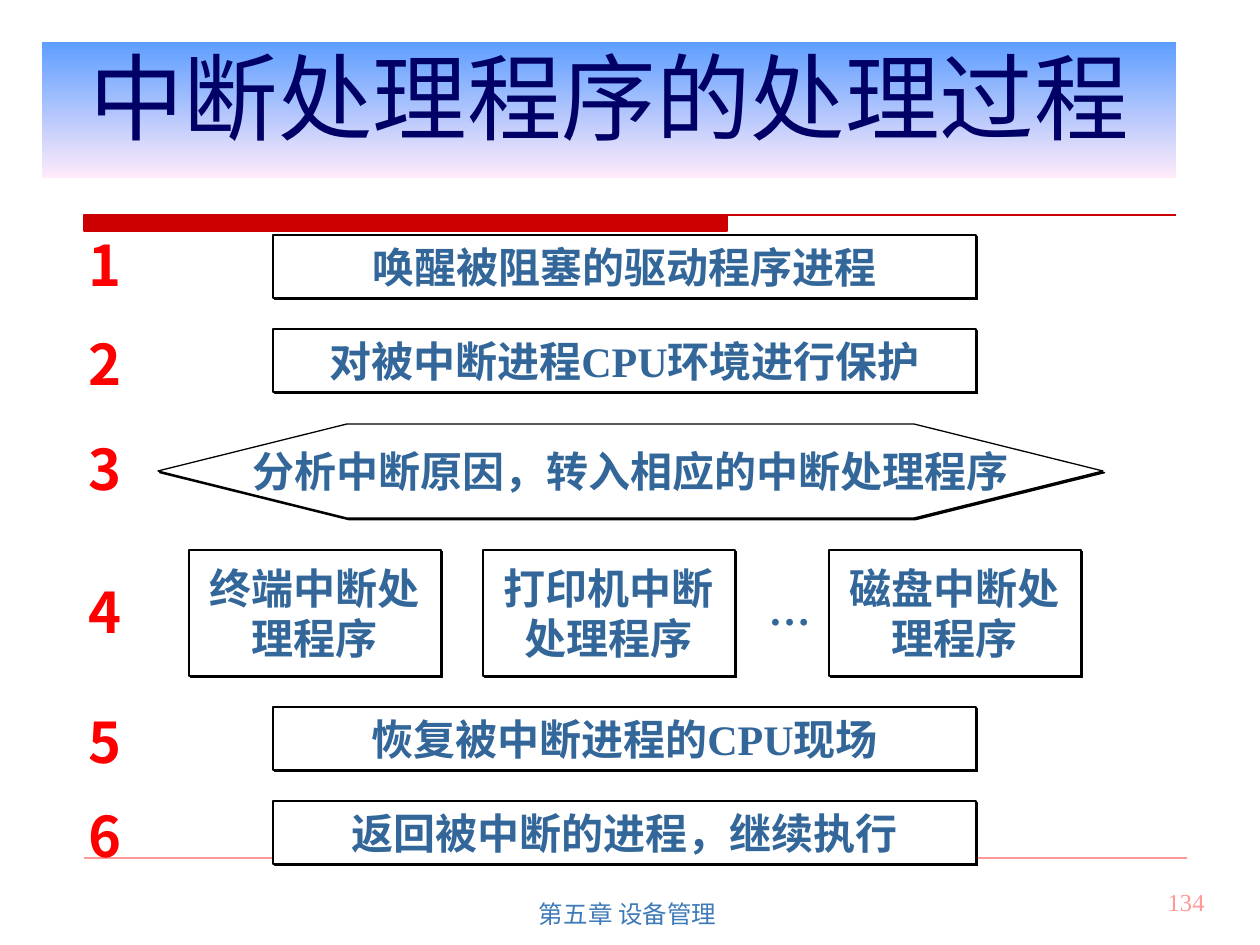
from lxml import etree
from pptx import Presentation
from pptx import util as u
from pptx.dml.color import RGBColor
from pptx.enum import shapes, text
from pptx.oxml import ns

PX = 914400 // 126
COLORS = {"white": "FFFFFF", "black": "010000", "red": "CC0000", "pink": "FF9999",
          "digit": "FF0000", "title": "000066", "step": "336699", "footer": "3D7AB7",
          "sky": "5E9EFF", "blush": "FFEBFA"}
RGB = {name: RGBColor.from_string(value) for name, value in COLORS.items()}
CJK = "Noto Sans CJK JP"
SERIF = "Times New Roman"
SHAPE = shapes.MSO_SHAPE
CENTER, RIGHT = text.PP_ALIGN.CENTER, text.PP_ALIGN.RIGHT
MIDDLE, TOP = text.MSO_ANCHOR.MIDDLE, text.MSO_ANCHOR.TOP


def write(sp, words, size, font, color, bold=False, align=CENTER, anchor=MIDDLE, wrap=True):
    """Put one formatted paragraph into a shape and return its run."""
    tf = sp.text_frame
    tf.text = words
    tf.word_wrap = wrap
    tf.vertical_anchor = anchor
    p = tf.paragraphs[0]
    p.alignment = align
    r = p.runs[0]
    r.font.size, r.font.bold = u.Pt(size), bold
    r.font.color.rgb = RGB[color]
    r.font.name = font
    latin = r.font._element.find(ns.qn("a:latin"))
    ea = etree.Element(ns.qn("a:ea"), typeface=CJK)
    latin.addnext(ea)
    return r


def add_shadow(effects):
    """Add a hard black shadow to the lower right to an effect list."""
    shadow = etree.SubElement(effects, ns.qn("a:outerShdw"), dist="17780", dir="2700000",
                              algn="ctr", rotWithShape="0")
    etree.SubElement(shadow, ns.qn("a:srgbClr"), val=COLORS["black"])


prs = Presentation()
prs.slide_width, prs.slide_height = u.Inches(10), u.Inches(7.5)
s = prs.slides.add_slide(prs.slide_layouts[5])

# Title
title = s.shapes.title
title.left, title.top, title.width, title.height = (v * PX for v in (42, 42, 1134, 136))
title.fill.gradient()
title.fill.gradient_angle = 270
for stop, name in zip(title.fill.gradient_stops, ("sky", "blush")):
    stop.color.rgb = RGB[name]
write(title, "中断处理程序的处理过程", 54, "Arial Narrow", "title")
title.text_frame.paragraphs[0].line_spacing = 0.7

# Rules under the title and above the footer
for right, y, color in ((1187, 858, "pink"), (1176, 215, "red")):
    rule = s.shapes.add_connector(shapes.MSO_CONNECTOR.STRAIGHT,
                                  84 * PX, y * PX, right * PX, y * PX)
    rule.line.color.rgb = RGB[color]
    rule.line.width = u.Pt(0.74)
    etree.SubElement(rule._element.spPr, ns.qn("a:effectLst"))
bar = s.shapes.add_shape(SHAPE.RECTANGLE, 84 * PX, 215 * PX, 643 * PX, 16 * PX)
bar.shadow.inherit = False
bar.fill.solid()
bar.fill.fore_color.rgb = bar.line.color.rgb = RGB["red"]
bar.line.width = u.Pt(0.74)

# Steps: left, top, width, height, text
WIDE = (273, 703, 63)
steps = [(WIDE[0], top, *WIDE[1:], words) for top, words in (
    (235, "唤醒被阻塞的驱动程序进程"),
    (329, "对被中断进程CPU环境进行保护"),
    (707, "恢复被中断进程的CPU现场"),
    (801, "返回被中断的进程，继续执行"))]
steps.insert(2, (158, 424, 945, 94, "分析中断原因，转入相应的中断处理程序"))
steps += [(left, 550, 252, 126, device + "中断处理程序")
          for left, device in ((189, "终端"), (483, "打印机"), (829, "磁盘"))]
for left, top, width, height, words in steps:
    kind = SHAPE.FLOWCHART_PREPARATION if height == 94 else SHAPE.RECTANGLE
    sp = s.shapes.add_shape(kind, left * PX, top * PX, width * PX, height * PX)
    sp.fill.solid()
    sp.fill.fore_color.rgb = RGB["white"]
    sp.line.color.rgb = RGB["black"]
    sp.line.width = u.Pt(0.74)
    sp.shadow.inherit = False
    add_shadow(sp._element.spPr.find(ns.qn("a:effectLst")))
    write(sp, words, 24, SERIF, "step", bold=True, wrap=height == 126)

# Step numbers
for number, top in enumerate((224, 323, 428, 571, 701, 795), 1):
    box = s.shapes.add_textbox(63 * PX, top * PX, 84 * PX, 81 * PX)
    r = write(box, str(number), 32, CJK, "digit", bold=True, anchor=TOP)
    effects = etree.Element(ns.qn("a:effectLst"))
    r.font._element.find(ns.qn("a:solidFill")).addnext(effects)
    add_shadow(effects)

# Ellipsis, footer and page number
dots = s.shapes.add_textbox(756 * PX, 577 * PX, 67 * PX, 63 * PX)
write(dots, "…", 24, SERIF, "step", bold=True, anchor=TOP, wrap=False)
footer = s.shapes.add_textbox(431 * PX, 882 * PX, 399 * PX, 63 * PX)
write(footer, "第五章 设备管理 ", 14, "Arial", "footer")
page = s.shapes.add_textbox(955 * PX, 881 * PX, 262 * PX, 63 * PX)
write(page, "134", 14, SERIF, "pink", align=RIGHT, anchor=TOP)

prs.save("out.pptx")
